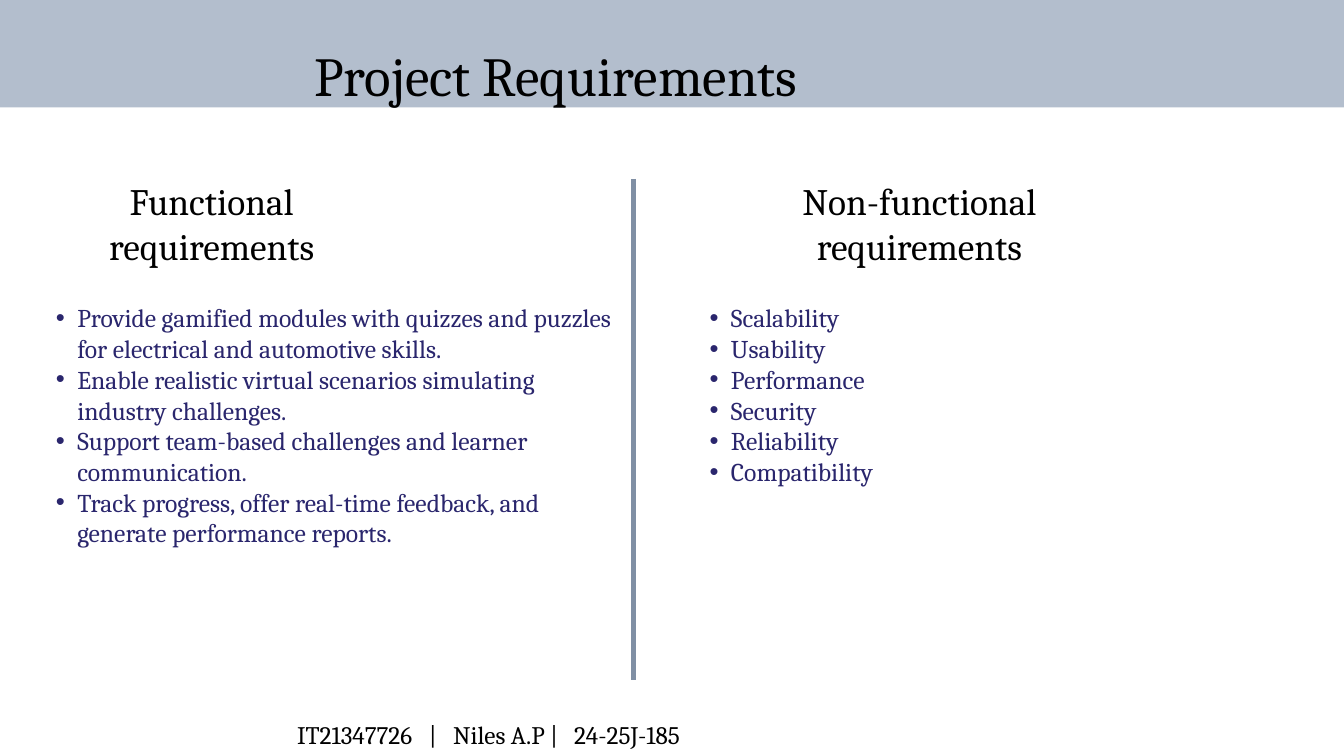
from lxml import etree
from pptx import Presentation, util as u
from pptx.dml.color import RGBColor
from pptx.enum import shapes, text
from pptx.oxml.ns import qn

BAND = RGBColor(0xB3, 0xBE, 0xCD)
RULE = RGBColor(0x80, 0x8F, 0xA4)
INK = RGBColor(0, 0, 0)
NAVY = RGBColor(0x2A, 0x26, 0x6D)
ALIGN = text.PP_ALIGN


class Deck:
    """Holds the style and the current slide."""
    face = "Cambria"

    def __init__(self, wide, high):
        self.prs = Presentation()
        self.prs.slide_width, self.prs.slide_height = u.Cm(wide), u.Cm(high)
        self.slide = self.prs.slides.add_slide(self.prs.slide_layouts[4])
        self.shapes = self.slide.shapes

    def band(self, x, y, w, h):
        box = self.shapes.add_shape(shapes.MSO_SHAPE.RECTANGLE, *map(u.Cm, (x, y, w, h)))
        box.shadow.inherit = False
        box.fill.solid()
        box.fill.fore_color.rgb = BAND
        box.line.fill.background()
        # Send behind the placeholders
        self.shapes._spTree.insert(2, box._element)

    def rule(self, x, top, end):
        line = self.shapes.add_connector(
            shapes.MSO_CONNECTOR.STRAIGHT, *map(u.Cm, (x, top, x, end)))
        line.line.color.rgb = RULE
        line.line.width = u.Pt(5.25)
        etree.SubElement(line._element.spPr, qn("a:effectLst"))

    def put(self, box, area, lines, size, lead, align=ALIGN.LEFT,
            color=INK, bullet=False, tabs=()):
        box.left, box.top, box.width, box.height = map(u.Cm, area)
        frame = box.text_frame
        frame.text = "\n".join(lines)
        frame.word_wrap = True
        frame.auto_size = text.MSO_AUTO_SIZE.SHAPE_TO_FIT_TEXT
        frame.vertical_anchor = text.MSO_ANCHOR.TOP
        frame.margin_left = frame.margin_right = 0
        frame.margin_top = frame.margin_bottom = 0
        for para in frame.paragraphs:
            para.alignment = align
            para.line_spacing = u.Pt(lead)
            para.space_before = u.Pt(0)
            props = para._p.get_or_add_pPr()
            if bullet:
                para.level = 1
                props.set("marL", str(u.Cm(1.65)))
                props.set("indent", str(u.Cm(-0.81)))
                etree.SubElement(props, qn("a:buChar"), char="•")
            if tabs:
                stops = etree.SubElement(props, qn("a:tabLst"))
                for stop in tabs:
                    etree.SubElement(stops, qn("a:tab"), pos=str(u.Cm(stop)), algn="l")
            font = para.font
            font.name, font.size, font.bold = self.face, u.Pt(size), False
            font.color.rgb = color

    def title(self, area, words):
        self.put(self.shapes.title, area, [words], 59, 70.8, ALIGN.JUSTIFY)

    def head(self, slot, x, words):
        self.put(self.slide.placeholders[slot], (x, 6.73, 13.46, 3.4), [words],
                 40, 48, ALIGN.CENTER)

    def items(self, slot, x, lines):
        self.put(self.slide.placeholders[slot], (x, 11.43, 21.97, 9.32), lines,
                 27.4, 32.9, color=NAVY, bullet=True)

    def note(self, area, words, tabs):
        box = self.shapes.add_textbox(0, 0, 0, 0)
        self.put(box, area, [words], 27, 32.4, tabs=tabs)


def main():
    deck = Deck(50.8, 28.58)

    # Header
    deck.band(0, -0.03, 50.8, 4.09)
    deck.title((11.89, 1.57, 27.03, 2.49), "Project Requirements")

    # Left column
    deck.head(1, 1.27, "Functional requirements")
    deck.items(2, 1.27, [
        "Provide gamified modules with quizzes and puzzles for electrical and automotive skills.",
        "Enable realistic virtual scenarios simulating industry challenges.",
        "Support team-based challenges and learner communication.",
        "Track progress, offer real-time feedback, and generate performance reports.",
    ])

    # Divider
    deck.rule(23.93, 6.76, 25.7)

    # Right column
    deck.head(3, 28.02, "Non-functional requirements")
    deck.items(4, 25.98, [
        "Scalability", "Usability", "Performance",
        "Security", "Reliability", "Compatibility",
    ])

    # Footer
    deck.note((11.23, 27.2, 27.91, 1.14),
              "IT21347726\t|\tNiles A.P |\t24-25J-185", (4.98, 5.9, 10.47))

    deck.prs.save("out.pptx")


if __name__ == "__main__":
    main()
